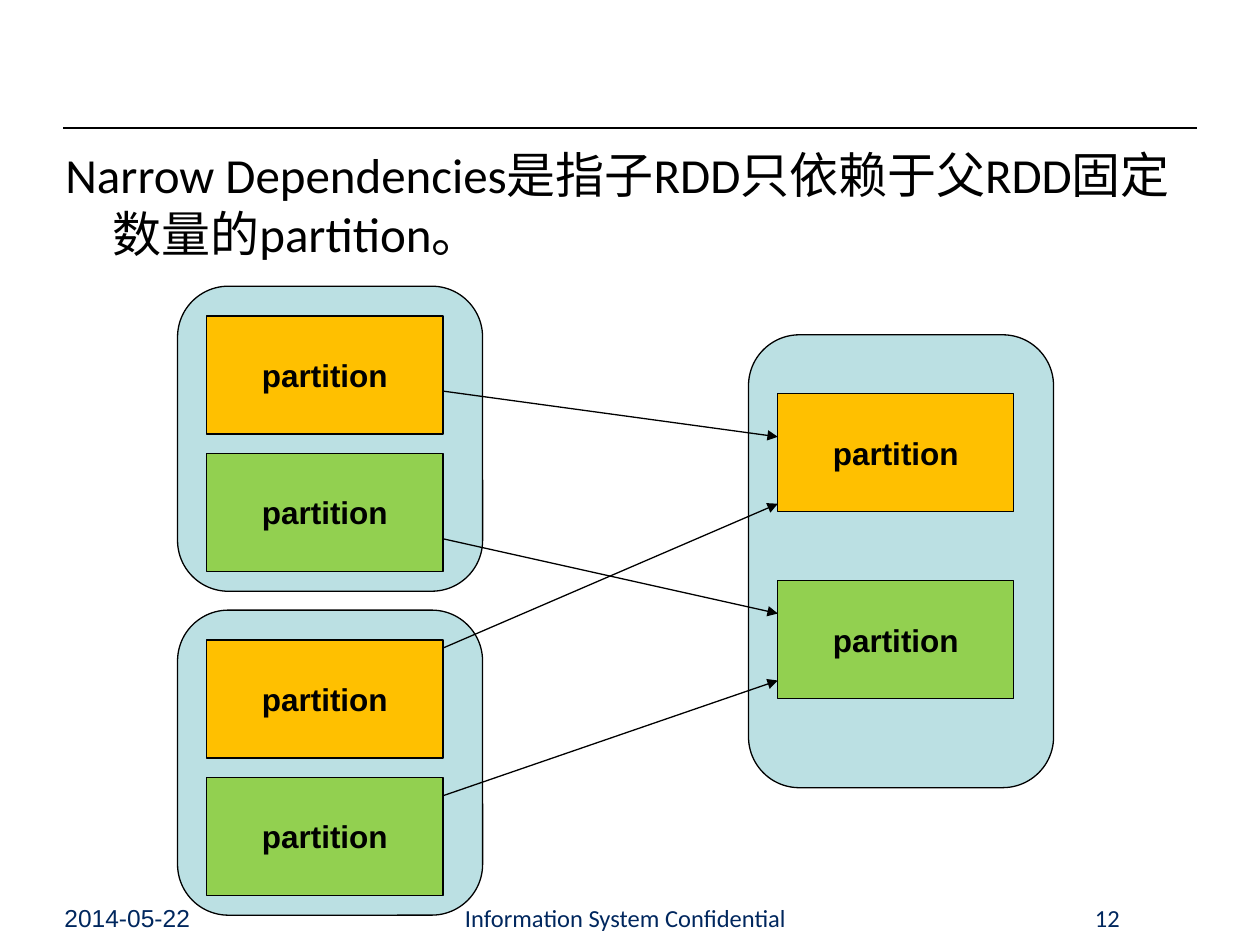
from lxml.etree import SubElement
from pptx import Presentation
from pptx.dml.color import RGBColor
from pptx.enum.shapes import MSO_CONNECTOR, MSO_SHAPE
from pptx.enum.text import MSO_ANCHOR, PP_ALIGN
from pptx.oxml.ns import qn
from pptx.util import Cm, Pt

BLACK = RGBColor(0x00, 0x00, 0x00)
NAVY = RGBColor(0x00, 0x27, 0x5E)
PALE_BLUE = RGBColor(0xBB, 0xE0, 0xE3)
ORANGE = RGBColor(0xFF, 0xC0, 0x00)
GREEN = RGBColor(0x92, 0xD0, 0x50)

# Content
STATEMENT = "Narrow Dependencies是指子RDD只依赖于父RDD固定数量的partition。"
PARTITION = "partition"
# text, left, width, font, alignment, wrap
FOOTERS = [
    ("Information System Confidential", 7.9, 9.42, "Calibri", PP_ALIGN.CENTER, True),
    ("2014-05-22", 1.17, 3.58, "Arial", PP_ALIGN.LEFT, True),
    ("12", 21.92, 0.81, "Calibri", PP_ALIGN.CENTER, False),
]
# left, top, height, tops of the partitions inside the RDD
RDDS = {
    "parent 1": (3.58, 5.77, 6.15, (0.6, 3.37)),
    "child": (15.09, 6.75, 9.13, (1.19, 4.96)),
    "parent 2": (3.58, 12.3, 6.15, (0.6, 3.37)),
}
PARTITION_COLOURS = (ORANGE, GREEN)
RDD_WIDTH = 6.15
PARTITION_INSET = 0.59
PARTITION_WIDTH, PARTITION_HEIGHT = 4.76, 2.38
FOOTER_TOP, FOOTER_HEIGHT = 18.08, 0.82

deck = Presentation()
deck.slide_width, deck.slide_height = Cm(25.4), Cm(19.05)
page = deck.slides.add_slide(deck.slide_layouts[6])


def write(frame, text, font, size, colour, align, bold=False):
    frame.margin_left = frame.margin_right = Cm(0.13)
    frame.margin_top = frame.margin_bottom = Cm(0.13)
    para = frame.paragraphs[0]
    para.alignment = align
    span = para.add_run()
    span.text = text
    span.font.name, span.font.size, span.font.bold = font, Pt(size), bold
    span.font.color.rgb = colour
    return para


def add_text(text, left, top, width, height, font, size, colour, align, wrap=True):
    box = page.shapes.add_textbox(Cm(left), Cm(top), Cm(width), Cm(height))
    box.text_frame.word_wrap = wrap
    return write(box.text_frame, text, font, size, colour, align)


def add_block(kind, left, top, width, height, fill):
    block = page.shapes.add_shape(kind, Cm(left), Cm(top), Cm(width), Cm(height))
    block.shadow.inherit = False
    block.fill.solid()
    block.fill.fore_color.rgb = fill
    block.line.color.rgb = BLACK
    block.line.width = Pt(0.75)
    return block


def add_line(x1, y1, x2, y2, arrow=False):
    line = page.shapes.add_connector(
        MSO_CONNECTOR.STRAIGHT, Cm(x1), Cm(y1), Cm(x2), Cm(y2))
    line.line.color.rgb = BLACK
    line.line.width = Pt(0.75)
    if arrow:
        SubElement(line.line._get_or_add_ln(), qn("a:tailEnd"), type="triangle")
    SubElement(line._element.spPr, qn("a:effectLst"))


# Footer, header rule and statement
for text, left, width, font, align, wrap in FOOTERS:
    add_text(text, left, FOOTER_TOP, width, FOOTER_HEIGHT, font, 14, NAVY, align, wrap)
add_line(1.27, 2.58, 24.13, 2.58)
statement = add_text(STATEMENT, 1.19, 2.78, 23.02, 15.08, "Calibri", 28, BLACK,
                     PP_ALIGN.LEFT)
indents = statement._p.get_or_add_pPr()
indents.set("marL", str(Cm(0.95)))
indents.set("indent", str(-Cm(0.95)))

# RDDs with their partitions
centres = {}
for name, (left, top, height, offsets) in RDDS.items():
    add_block(MSO_SHAPE.ROUNDED_RECTANGLE, left, top, RDD_WIDTH, height, PALE_BLUE)
    x = left + PARTITION_INSET
    centres[name] = []
    for offset, colour in zip(offsets, PARTITION_COLOURS):
        y = top + offset
        block = add_block(MSO_SHAPE.RECTANGLE, x, y,
                          PARTITION_WIDTH, PARTITION_HEIGHT, colour)
        block.text_frame.vertical_anchor = MSO_ANCHOR.MIDDLE
        write(block.text_frame, PARTITION, "Arial", 18, BLACK, PP_ALIGN.CENTER, True)
        centres[name].append((x + PARTITION_WIDTH / 2, y + PARTITION_HEIGHT / 2))

# Arrows run from centre to centre, cut off at the facing partition edges
for parent in ("parent 1", "parent 2"):
    for (x1, y1), (x2, y2) in zip(centres[parent], centres["child"]):
        half = PARTITION_WIDTH / 2
        rise = half * (y2 - y1) / (x2 - x1)
        add_line(x1 + half, y1 + rise, x2 - half, y2 - rise, arrow=True)

deck.save("out.pptx")
